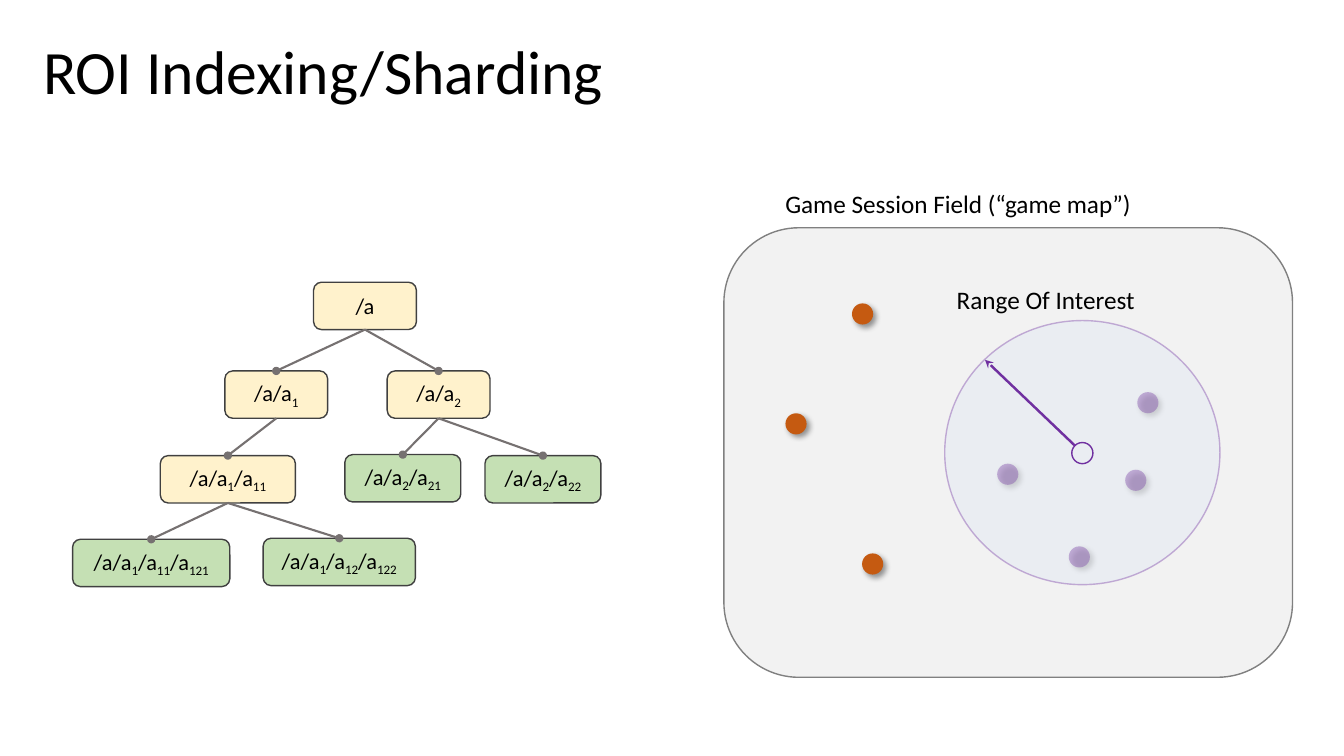
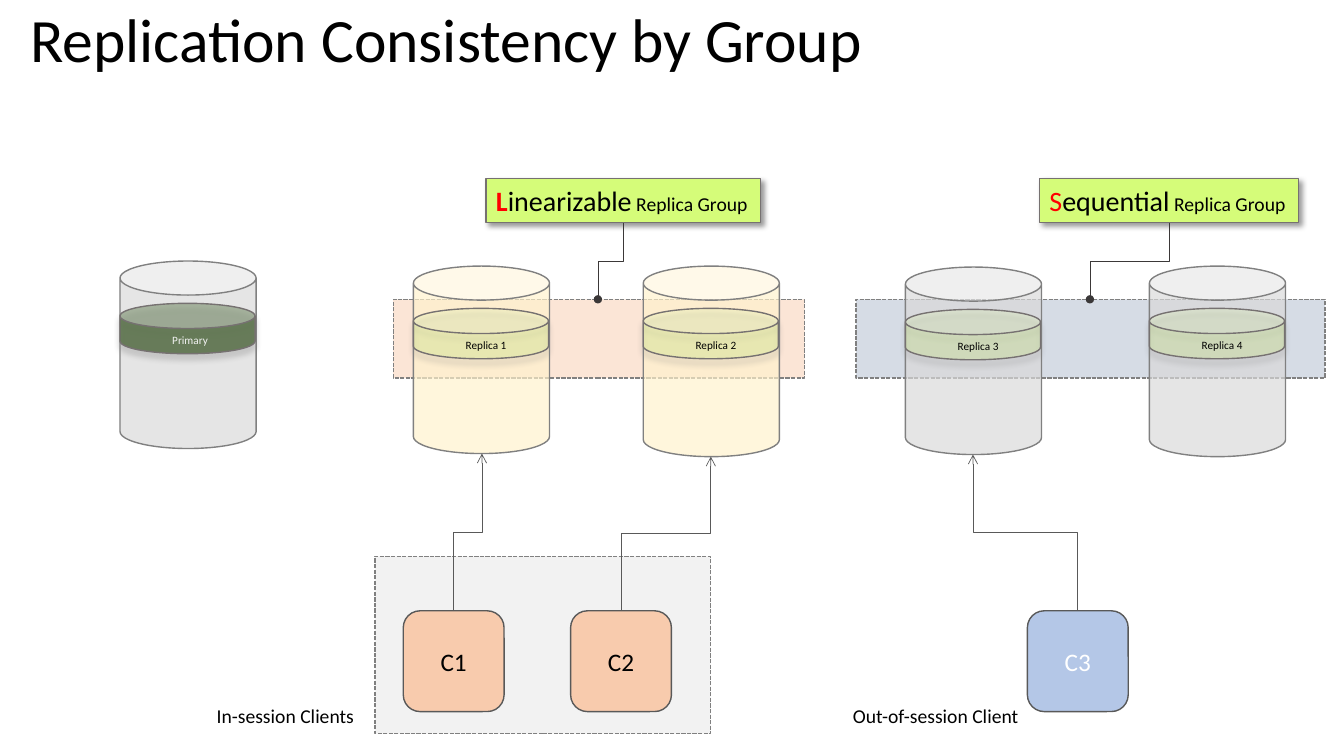
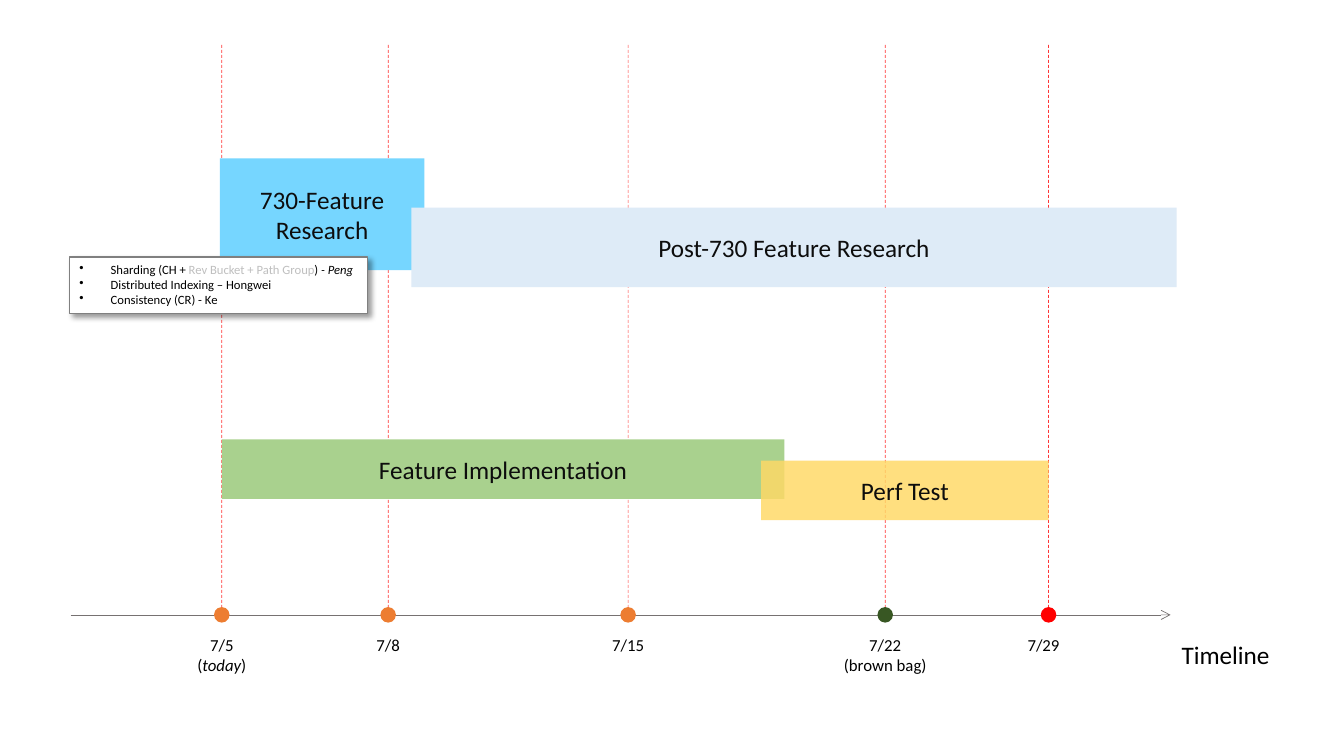
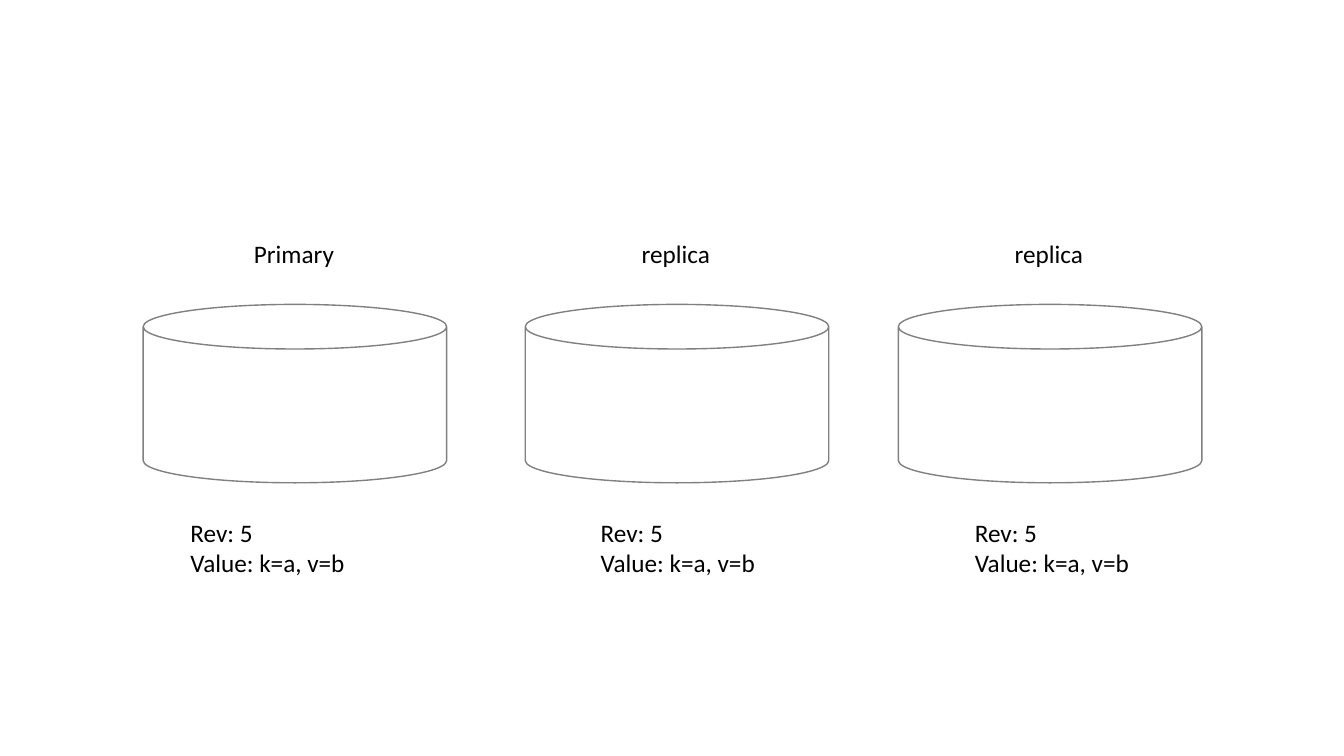
from pptx import Presentation
from pptx.dml.color import RGBColor
from pptx.enum.dml import MSO_LINE
from pptx.enum.shapes import MSO_CONNECTOR, MSO_SHAPE
from pptx.enum.text import MSO_ANCHOR, MSO_AUTO_SIZE, PP_ALIGN
from pptx.oxml.ns import qn
from pptx.util import Inches, Pt
from lxml import etree

RECT, ROUND = MSO_SHAPE.RECTANGLE, MSO_SHAPE.ROUNDED_RECTANGLE
OVAL, CAN = MSO_SHAPE.OVAL, MSO_SHAPE.CAN
STRAIGHT, ELBOW = MSO_CONNECTOR.STRAIGHT, MSO_CONNECTOR.ELBOW
DASH, DOTS = MSO_LINE.DASH, MSO_LINE.SQUARE_DOT
LEFT, MID = PP_ALIGN.LEFT, PP_ALIGN.CENTER
TOP, CENTER = MSO_ANCHOR.TOP, MSO_ANCHOR.MIDDLE


class Theme:
    font = "Calibri"
    ink, soft, white, mist = "000000", "0D0D0D", "FFFFFF", "F2F2F2"
    edge, slate, steel, coal, dark = "808080", "767171", "595959", "404040", "3B3838"
    cream, leaf, forest, lime = "FFF2CC", "C5E0B4", "385723", "D5FC79"
    purple, rust, orange, red = "7030A0", "C55A11", "ED7D31", "FF0000"
    ice, peach, blush, gray = "DAE3F3", "F8CBAD", "FBE5D6", "D9D9D9"
    blue, haze, sky, pale = "B4C7E7", "D6DCE5", "76D6FF", "DEEBF7"
    green, gold, faint = "A9D18E", "FFD966", "BFBFBF"
    title, lead, body, node, note, date, fine, tiny = 44, 20, 18, 16, 14, 12, 9, 8
    drop = ("000000", 40, 4, 3, 45)
    glow = ("808080", 43, 4, 3.7, 90)


T = Theme

TREE = {
    "": (3.11, 2.8, 1.02, None),
    "1": (2.23, 3.68, 1.02, ""),
    "2": (3.84, 3.68, 1.02, ""),
    "1 11": (1.59, 4.52, 1.34, "1"),
    "2 21": (3.42, 4.51, 1.15, "2"),
    "2 22": (4.81, 4.52, 1.15, "2"),
    "1 11 121": (0.72, 5.35, 1.56, "1 11"),
    "1 12 122": (2.61, 5.34, 1.51, "1 11"),
}
NEAR = [(9.89, 4.6), (11.28, 3.89), (11.16, 4.66), (10.6, 5.42)]
FAR = [(7.79, 4.1), (8.55, 5.49), (8.45, 3.01)]

BANDS = [(8.49, 4.65, T.haze), (3.9, 4.08, T.blush)]
DISKS = [
    ("Primary", 1.19, 2.59, 1.86, T.gray, (T.forest, 67), T.mist),
    ("Replica 1", 4.1, 2.64, 1.86, T.cream, (T.lime, 26), T.ink),
    ("Replica 2", 6.38, 2.64, 1.89, T.cream, (T.lime, 26), T.ink),
    ("Replica 3", 8.98, 2.65, 1.86, T.gray, (T.lime, 26), T.ink),
    ("Replica 4", 11.4, 2.64, 1.89, T.gray, (T.lime, 26), T.ink),
]
CLIENTS = [
    ("C1", 4, T.peach, T.ink, (4.78, 4.5)),
    ("C2", 5.66, T.peach, T.ink, (7.05, 4.53)),
    ("C3", 10.19, T.blue, T.white, (9.65, 4.51)),
]
GROUPS = [
    ("L", "inearizable", True, 4.82, 2.72, 5.93),
    ("S", "equential", False, 10.31, 2.57, 10.81),
]
CAPTIONS = [("In-session Clients", 2.05, 1.58), ("Out-of-session Client", 8.36, 1.86)]

DATES = [
    (2.2, T.orange, 0, [["7/5"], ["(", ("today", {"italic": True}), ")"]]),
    (3.85, T.orange, 0, [["7/8"]]),
    (6.23, T.orange, 0, [["7/15"]]),
    (8.78, T.forest, 0, [["7/22"], ["(brown bag)"]]),
    (10.4, T.red, -0.05, [["7/29"]]),
]
BARS = [
    ("Feature Implementation", (2.2, 4.36, 5.58, 0.59), T.green),
    ("Perf Test", (7.55, 4.57, 2.85, 0.59), (T.gold, 83)),
    ("730-Feature Research", (2.18, 1.57, 2.03, 1.11), T.sky),
    ("Post-730 Feature Research", (4.08, 2.06, 7.59, 0.79), T.pale),
]
TASKS = [
    ["Sharding (CH + ", ("Rev Bucket + Path Group", {"color": T.faint}), ") ",
     ("- Peng", {"italic": True})],
    ["Distributed Indexing – Hongwei"],
    ["Consistency (CR) - Ke"],
]

COPIES = [("Primary", 1.42, 1, 1.79), ("replica", 5.21, 0.89, 5.86), ("replica", 8.91, 0.89, 9.57)]
STATE = [["Rev: 5"], ["Value: k=a, v=b"]]


def sub(node, tag, **attrs):
    return etree.SubElement(node, qn(tag), {k: str(v) for k, v in attrs.items()})


def paint(fill, color, host):
    tone, alpha = color if isinstance(color, tuple) else (color, None)
    fill.solid()
    fill.fore_color.rgb = RGBColor.from_string(tone)
    if alpha is not None:
        node = host.find(qn("a:solidFill")).find(qn("a:srgbClr"))
        sub(node, "a:alpha", val=alpha * 1000)


def stroke(line, color, width, dash=None):
    line.width = Pt(width)
    paint(line.fill, color, line._get_or_add_ln())
    if dash:
        line.dash_style = dash


def write(frame, paras, size, color=T.ink, align=LEFT, anchor=TOP, wrap=True, bullet=False):
    frame.word_wrap = wrap
    frame.vertical_anchor = anchor
    if not wrap:
        frame.auto_size = MSO_AUTO_SIZE.SHAPE_TO_FIT_TEXT
    for i, runs in enumerate(paras):
        para = frame.paragraphs[0] if i == 0 else frame.add_paragraph()
        para.alignment = align
        if bullet:
            props = para._p.get_or_add_pPr()
            props.set("marL", str(Inches(0.31)))
            props.set("indent", str(-Inches(0.31)))
            sub(props, "a:buChar", char="•")
        for part in runs:
            text, look = part if isinstance(part, tuple) else (part, {})
            run = para.add_run()
            run.text = text
            font = run.font
            font.name = T.font
            font.size = Pt(look.get("size", size))
            font.color.rgb = RGBColor.from_string(look.get("color", color))
            font.bold = look.get("bold", False)
            font.italic = look.get("italic", False)
            if "base" in look:
                font._element.set("baseline", str(look["base"] * 1000))


def label(slide, box, paras, size, **look):
    look.setdefault("wrap", False)
    area = slide.shapes.add_textbox(*map(Inches, box))
    write(area.text_frame, paras, size, **look)
    return area


def title(slide, box, text):
    area = label(slide, box, [[text]], T.title, anchor=CENTER, wrap=True)
    area.text_frame.paragraphs[0].line_spacing = 0.9


def draw(slide, kind, box, fill=None, line=None, width=1, dash=None, shadow=None):
    shape = slide.shapes.add_shape(kind, *map(Inches, box))
    props = shape.element.spPr
    if fill:
        paint(shape.fill, fill, props)
    else:
        shape.fill.background()
    if line:
        stroke(shape.line, line, width, dash)
    else:
        shape.line.fill.background()
    shape.shadow.inherit = False
    if shadow:
        tone, alpha, blur, dist, angle = shadow
        cast = sub(props.find(qn("a:effectLst")), "a:outerShdw", blurRad=Pt(blur),
                   dist=Pt(dist), dir=angle * 60000, algn="tl", rotWithShape=0)
        sub(sub(cast, "a:srgbClr", val=tone), "a:alpha", val=alpha * 1000)
    return shape


def link(slide, start, end, color, width, tip=None, dash=None, kind=STRAIGHT):
    wire = slide.shapes.add_connector(kind, *map(Inches, (*start, *end)))
    stroke(wire.line, color, width, dash)
    if tip:
        sub(wire.line._get_or_add_ln(), "a:tailEnd", type=tip)
    sub(wire._element.spPr, "a:effectLst")
    return wire


def bend(slide, start, end, color, tip):
    (x1, y1), (x2, y2) = start, end
    wide, high = abs(y2 - y1), abs(x2 - x1)
    left, top = (x1 + x2 - wide) / 2, (y1 + y2 - high) / 2
    wire = link(slide, (left, top), (left + wide, top + high), color, 0.5, tip, kind=ELBOW)
    frame = wire._element.spPr.find(qn("a:xfrm"))
    frame.set("rot", str((90 if y2 > y1 else 270) * 60000))
    if (x2 > x1) == (y2 > y1):
        frame.set("flipV", "1")


def index(slide):
    title(slide, (0.33, 0.3, 11.5, 0.88), "ROI Indexing/Sharding")
    roots = {row[3] for row in TREE.values()}
    nodes = {}
    for key, (x, y, w, _) in TREE.items():
        fill = T.cream if key in roots else T.leaf
        nodes[key] = draw(slide, ROUND, (x, y, w, 0.47), fill, T.coal)
        runs = ["/a"]
        for mark in key.split():
            runs += ["/a", (mark, {"base": -25})]
        write(nodes[key].text_frame, [runs], T.node, align=MID, anchor=CENTER)
    for key, row in TREE.items():
        if row[3] is not None:
            wire = link(slide, (0, 0), (1, 1), T.slate, 1.5, "oval")
            wire.begin_connect(nodes[row[3]], 2)
            wire.end_connect(nodes[key], 0)

    draw(slide, ROUND, (7.18, 2.26, 5.64, 4.46), T.mist, T.edge)
    draw(slide, OVAL, (9.37, 3.18, 2.73, 2.62), (T.ice, 32), (T.purple, 36))
    draw(slide, OVAL, (10.63, 4.39, 0.21, 0.21), line=T.purple)
    link(slide, (10.66, 4.42), (9.77, 3.57), T.purple, 1.75, "stealth")
    for spots, fill in ((NEAR, (T.purple, 35)), (FAR, T.rust)):
        for x, y in spots:
            draw(slide, OVAL, (x, y, 0.21, 0.21), fill, shadow=T.drop)
    label(slide, (7.69, 1.82, 3.67, 0.4), [["Game Session Field (“game map”)"]], T.body)
    label(slide, (9.39, 2.77, 1.99, 0.4), [["Range Of Interest"]], T.body)


def groups(slide):
    for x, w, fill in BANDS:
        draw(slide, RECT, (x, 2.97, w, 0.78), fill, T.edge, dash=DOTS)
    title(slide, (0.2, 0.03, 11.5, 0.78), "Replication Consistency by Group")
    for name, x, y, h, fill, core, ink in DISKS:
        draw(slide, CAN, (x, y, 1.35, h), (fill, 68), T.edge)
        ring = draw(slide, CAN, (x, y + 0.42, 1.34, 0.5), core, T.slate, shadow=T.glow)
        ring.adjustments[0] = 0.5
        label(slide, (x + 0.42, y + 0.67, 0.91, 0.24), [[name]], T.tiny, color=ink, wrap=True)
    draw(slide, RECT, (3.72, 5.52, 3.33, 1.76), T.mist, T.edge, dash=DOTS)
    for name, x, fill, ink, goal in CLIENTS:
        box = draw(slide, ROUND, (x, 6.06, 1, 1), fill, T.steel)
        write(box.text_frame, [[name]], T.body, ink, MID, CENTER)
        bend(slide, (x + 0.5, 6.06), goal, T.steel, "arrow")
    for text, x, w in CAPTIONS:
        label(slide, (x, 6.93, w, 0.34), [[text]], T.note)
    for head, rest, bold, x, w, goal in GROUPS:
        tag = draw(slide, RECT, (x, 1.77, w, 0.44), T.lime, T.slate, 0.75, shadow=T.drop)
        runs = [(head, {"color": T.red, "bold": bold}), rest, (" Replica Group", {"size": T.note})]
        write(tag.text_frame, [runs], T.lead, wrap=False)
        bend(slide, (x + w / 2, 2.21), (goal, 2.97), T.dark, "oval")


def plan(slide):
    link(slide, (0.7, 6.1), (11.61, 6.1), T.slate, 0.5, "arrow")
    label(slide, (11.62, 6.29, 1.09, 0.4), [["Timeline"]], T.body)
    for x, color, shift, paras in DATES:
        link(slide, (x, 6.03), (x, 0.44), (T.red, 78), 0.5, dash=DASH)
        draw(slide, OVAL, (x - 0.07, 6.03, 0.14, 0.14), color, color)
        high = 0.1 + 0.2 * len(paras)
        label(slide, (x + shift - 0.52, 6.25, 1.04, high), paras, T.date, align=MID)
    for text, box, fill in BARS:
        bar = draw(slide, RECT, box, fill)
        write(bar.text_frame, [[text]], T.body, T.soft, MID, CENTER)
    card = draw(slide, RECT, (0.69, 2.55, 2.96, 0.56), T.white, T.edge, 0.75, shadow=T.drop)
    write(card.text_frame, TASKS, T.fine, wrap=False, bullet=True)


def copies(slide):
    for name, x, w, left in COPIES:
        draw(slide, CAN, (x, 3.02, 3.01, 1.77), line=T.edge)
        label(slide, (x + 1.5 - w / 2, 2.32, w, 0.4), [[name]], T.body)
        label(slide, (left, 5.08, 1.75, 0.71), STATE, T.body)


def main():
    deck = Presentation()
    deck.slide_width, deck.slide_height = Inches(13.33), Inches(7.5)
    for build in (index, groups, plan, copies):
        build(deck.slides.add_slide(deck.slide_layouts[6]))
    deck.save("out.pptx")


if __name__ == "__main__":
    main()
